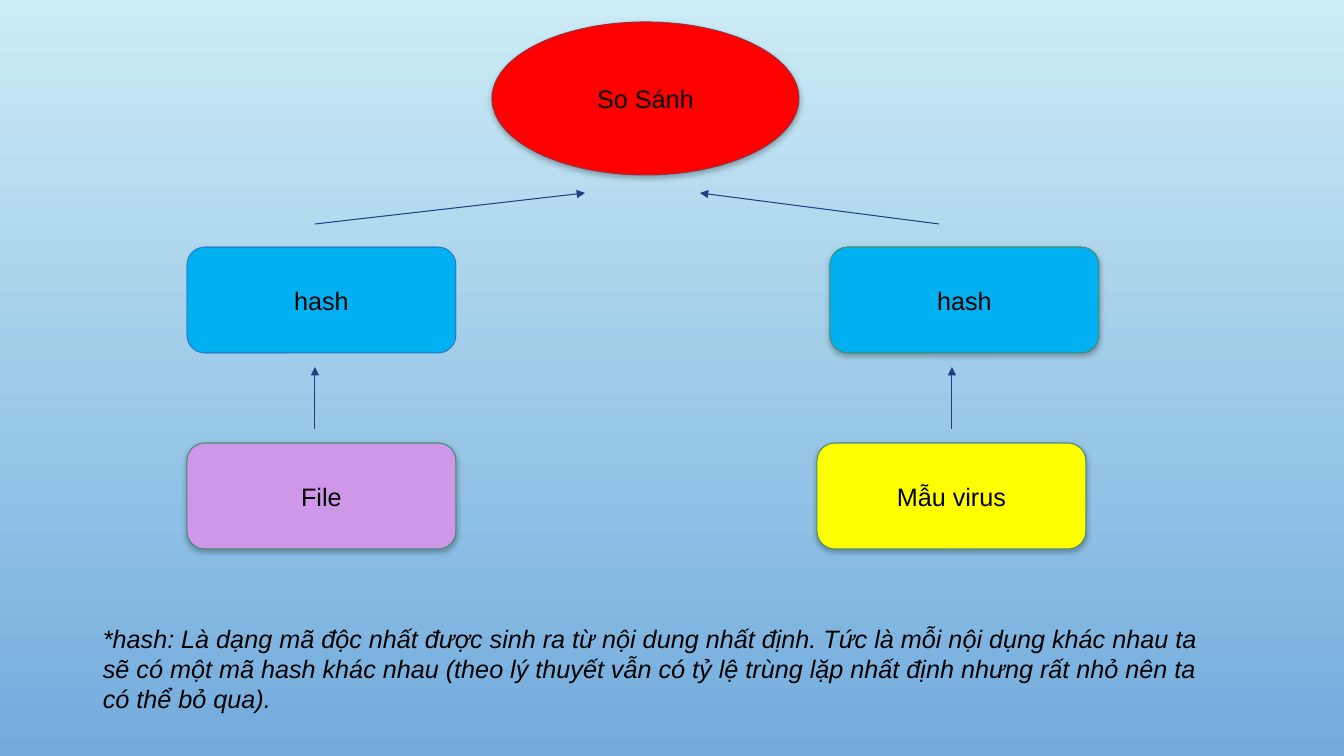
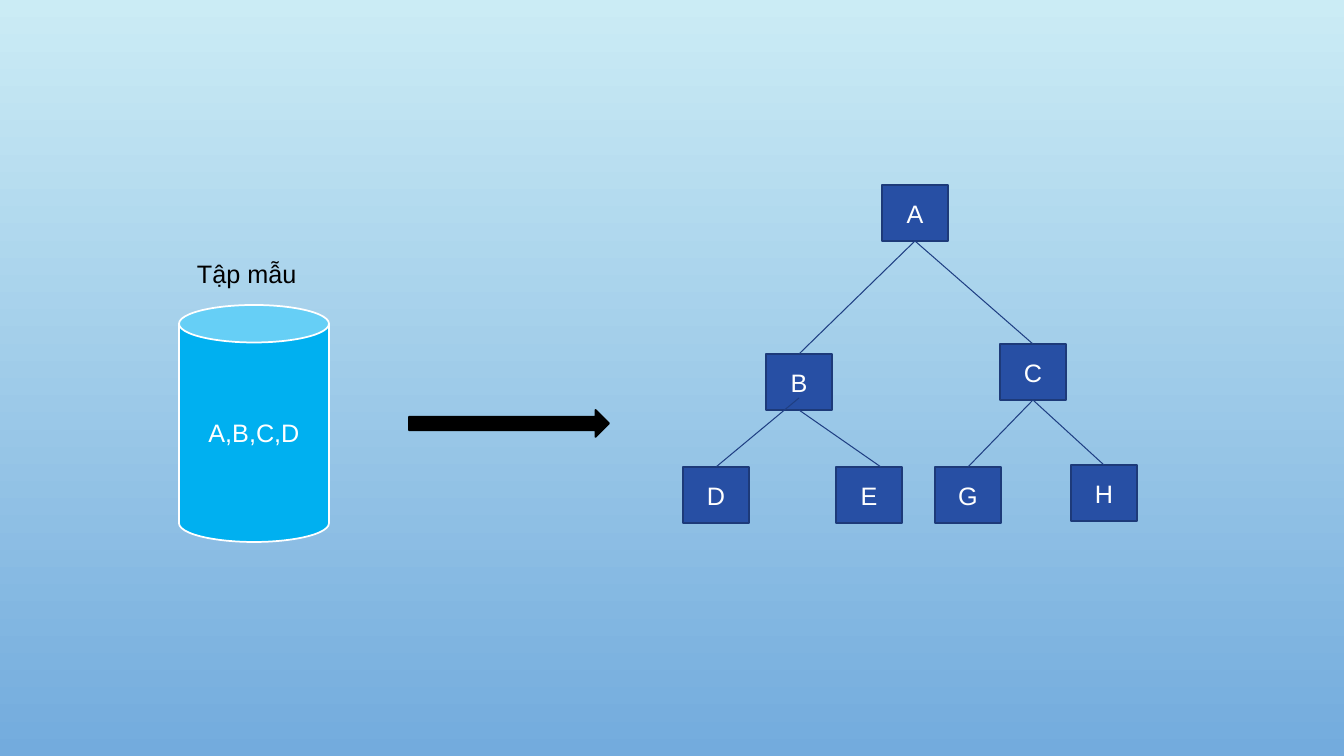
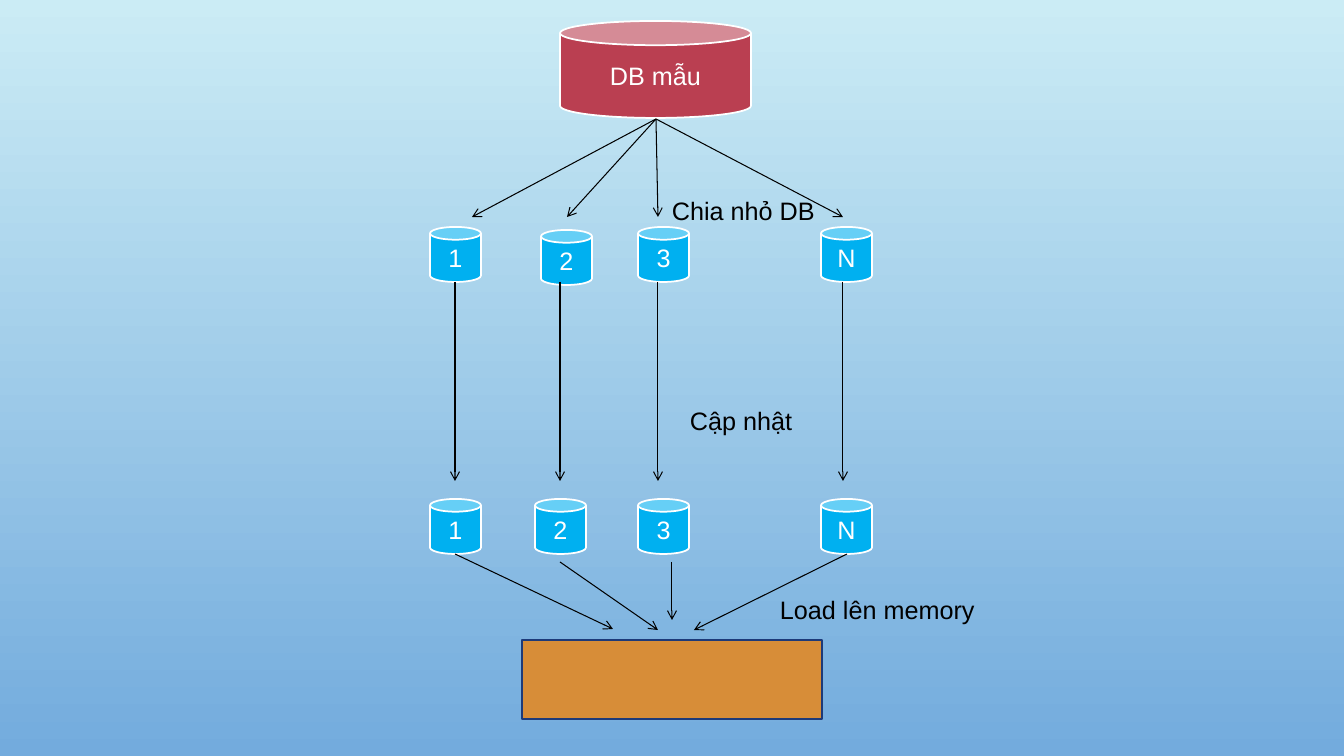
from lxml.etree import SubElement
from pptx import Presentation
from pptx.dml.color import RGBColor
from pptx.enum.shapes import MSO_CONNECTOR as Connector, MSO_SHAPE as Shape
from pptx.enum.text import MSO_ANCHOR as Anchor, MSO_AUTO_SIZE as AutoSize, PP_ALIGN as Align
from pptx.oxml.ns import qn
from pptx.util import Pt

WIDTH, HEIGHT = 1344, 756
SCALE = 12192000 / WIDTH  # EMU in one px
rgb = RGBColor.from_string

BLACK, WHITE = "000000", "FFFFFF"
SKY, NAVY, NAVY_EDGE, LINK = "00B0F0", "274FA4", "1D3A79", "1F3F83"
GREEN_EDGE = "428E73"


def add_block(slide, kind, box, text="", fill=None, edge=None, color=BLACK,
              edge_width=1.25, shadow=False, wrap=True, **font):
    """Add a filled shape, or a plain text box when kind is None. The box is in px."""
    box = [round(n * SCALE) for n in box]
    if kind is None:
        block = slide.shapes.add_textbox(*box)
        block.text_frame.auto_size = AutoSize.SHAPE_TO_FIT_TEXT
    else:
        block = slide.shapes.add_shape(kind, *box)
        block.fill.solid()
        block.fill.fore_color.rgb = rgb(fill)
        block.line.color.rgb = rgb(edge)
        block.line.width = Pt(edge_width)
        block.shadow.inherit = False
        block.text_frame.vertical_anchor = Anchor.MIDDLE
    if shadow:
        effects = block.element.spPr.find(qn("a:effectLst"))
        outer = SubElement(effects, qn("a:outerShdw"), blurRad=str(Pt(4)),
                           dist=str(Pt(2)), dir="5400000", rotWithShape="0")
        shade = SubElement(outer, qn("a:srgbClr"), val=BLACK)
        SubElement(shade, qn("a:alpha"), val="28000")
    block.text_frame.word_wrap = wrap
    if text:
        paragraph = block.text_frame.paragraphs[0]
        paragraph.alignment = Align.LEFT if kind is None else Align.CENTER
        run = paragraph.add_run()
        run.text = text
        for name, value in {"name": "Arial", "size": Pt(18), **font}.items():
            setattr(run.font, name, value)
        run.font.color.rgb = rgb(color)
    return block


def add_line(slide, start, end, color, head=None):
    ends = [round(n * SCALE) for n in (*start, *end)]
    link = slide.shapes.add_connector(Connector.STRAIGHT, *ends)
    link.line.color.rgb = rgb(color)
    link.line.width = Pt(0.75)
    properties = link.element.spPr
    if head:
        SubElement(properties.find(qn("a:ln")), qn("a:tailEnd"), type=head)
    SubElement(properties, qn("a:effectLst"))


deck = Presentation()
deck.slide_width, deck.slide_height = round(WIDTH * SCALE), round(HEIGHT * SCALE)
backdrop = deck.slide_master.background.fill
backdrop.gradient()
backdrop.gradient_angle = 270
for stop, color, position in zip(backdrop.gradient_stops, ("CBECF5", "73ABDD"), (0, 1)):
    stop.color.rgb = rgb(color)
    stop.position = position
blank = deck.slide_layouts[6]
compare_slide, tree_slide, update_slide = [deck.slides.add_slide(blank) for _ in range(3)]

# Slide 1: comparing hashes
add_block(compare_slide, Shape.OVAL, (492, 22, 307, 153), "So Sánh", "FF0000", "953241",
          edge_width=0.75, shadow=True)
for x, y, text, fill, edge, shadow in (
    (187, 247, "hash", SKY, NAVY, False),
    (830, 247, "hash", SKY, GREEN_EDGE, True),
    (187, 443, "File", "CE97E8", GREEN_EDGE, True),
    (817, 443, "Mẫu virus", "FFFF00", GREEN_EDGE, True),
):
    step = add_block(compare_slide, Shape.ROUNDED_RECTANGLE, (x, y, 269, 106), text, fill, edge,
                     edge_width=0.75, shadow=shadow)
    if not shadow:
        edge_color = step.element.spPr.find(qn("a:ln")).find(".//" + qn("a:srgbClr"))
        SubElement(edge_color, qn("a:alpha"), val="60000")
add_block(
    compare_slide, None, (93, 618, 1138, 102),
    "*hash: Là dạng mã độc nhất được sinh ra từ nội dung nhất định. Tức là mỗi nội dụng khác "
    "nhau ta sẽ có một mã hash khác nhau (theo lý thuyết vẫn có tỷ lệ trùng lặp nhất định nhưng "
    "rất nhỏ nên ta có thể bỏ qua).",
    italic=True)
for start, end in (
    ((315, 429), (315, 367)),
    ((315, 224), (585, 193)),
    ((939, 224), (700, 193)),
    ((952, 429), (952, 367)),
):
    add_line(compare_slide, start, end, LINK, "triangle")

# Slide 2: sample set turned into a tree
add_block(tree_slide, Shape.CAN, (179, 305, 150, 237), "A,B,C,D", SKY, WHITE, WHITE)
add_block(tree_slide, None, (187, 253, 121, 40), "Tập mẫu", wrap=False)
add_block(tree_slide, Shape.RIGHT_ARROW, (409, 410, 200, 27), fill=BLACK, edge=BLACK)
NODE_W, NODE_H = 66, 56
nodes = {"A": (882, 185), "B": (766, 354), "C": (1000, 344), "D": (683, 467),
         "E": (836, 467), "G": (935, 467), "H": (1071, 465)}
for letter, corner in nodes.items():
    add_block(tree_slide, Shape.RECTANGLE, (*corner, NODE_W, NODE_H), letter,
              NAVY, NAVY_EDGE, WHITE)
for parent, child, start_rise, end_shift in (
    ("A", "B", 0, 0), ("A", "C", 0, 0), ("B", "D", 12, 0),
    ("B", "E", 0, 12), ("C", "G", 0, 0), ("C", "H", 0, 0),
):
    (parent_x, parent_y), (child_x, child_y) = nodes[parent], nodes[child]
    add_line(tree_slide, (parent_x + NODE_W / 2, parent_y + NODE_H - start_rise),
             (child_x + NODE_W / 2 + end_shift, child_y), LINK)

# Slide 3: splitting, updating and loading the database
add_block(update_slide, Shape.CAN, (560, 21, 191, 97), "DB mẫu", "BA3F51", WHITE, WHITE)
add_block(update_slide, Shape.RECTANGLE, (522, 640, 300, 79), fill="D78D38", edge=NAVY_EDGE)
for part, upper, lower, split_x, update_x, load_start, load_end in (
    ("1", (430, 227), (430, 499), 472, 455, (455, 554), (613, 629)),
    ("2", (541, 230), (535, 499), 567, 560, (560, 562), (658, 630)),
    ("3", (638, 227), (638, 499), 658, 658, (672, 562), (672, 620)),
    ("N", (821, 227), (821, 499), 843, 843, (847, 554), (694, 630)),
):
    for corner in (upper, lower):
        add_block(update_slide, Shape.CAN, (*corner, 51, 55), part, SKY, WHITE, WHITE)
    for start, end in (
        ((656, 119), (split_x, 217)),
        ((update_x, 282), (update_x, 481)),
        (load_start, load_end),
    ):
        add_line(update_slide, start, end, BLACK, "arrow")
for box, text in (
    ((680, 400, 130, 40), "Cập nhật"),
    ((662, 190, 171, 40), "Chia nhỏ DB"),
    ((770, 589, 237, 40), "Load lên memory"),
):
    add_block(update_slide, None, box, text, wrap=False)

deck.save("out.pptx")
